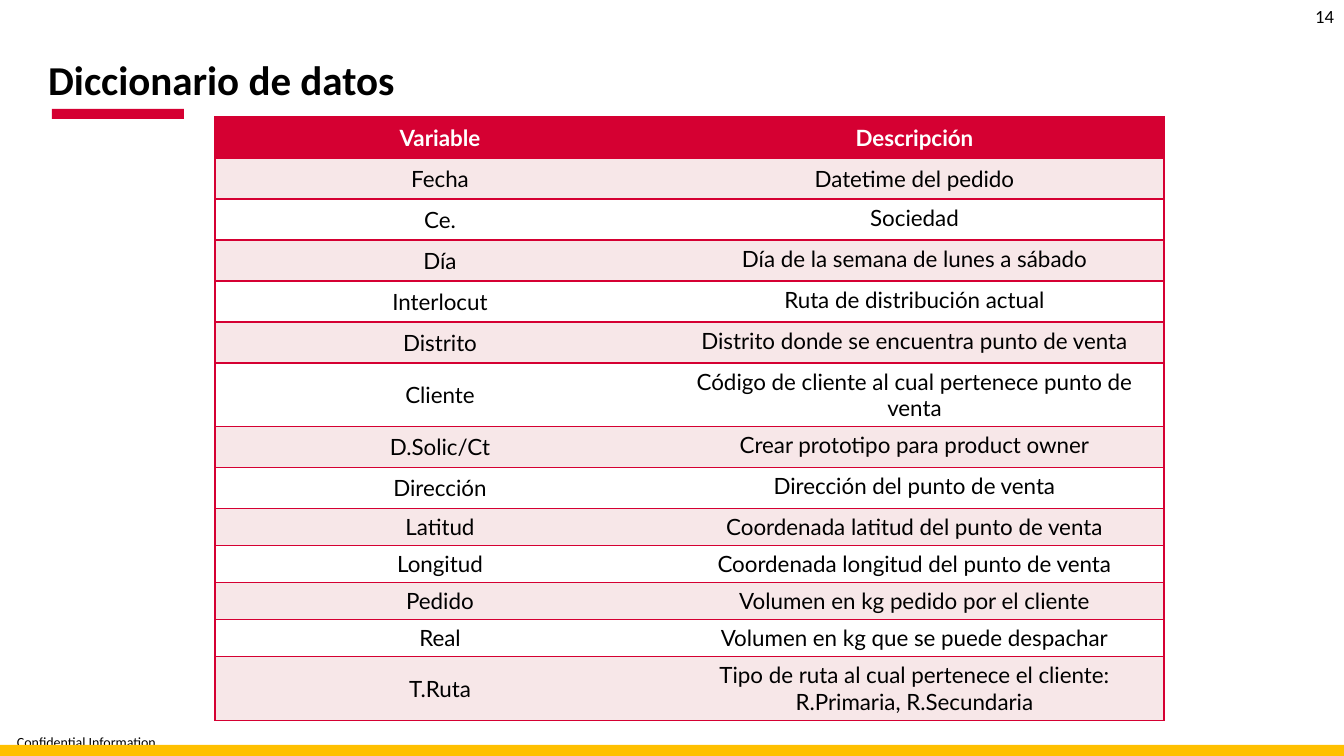
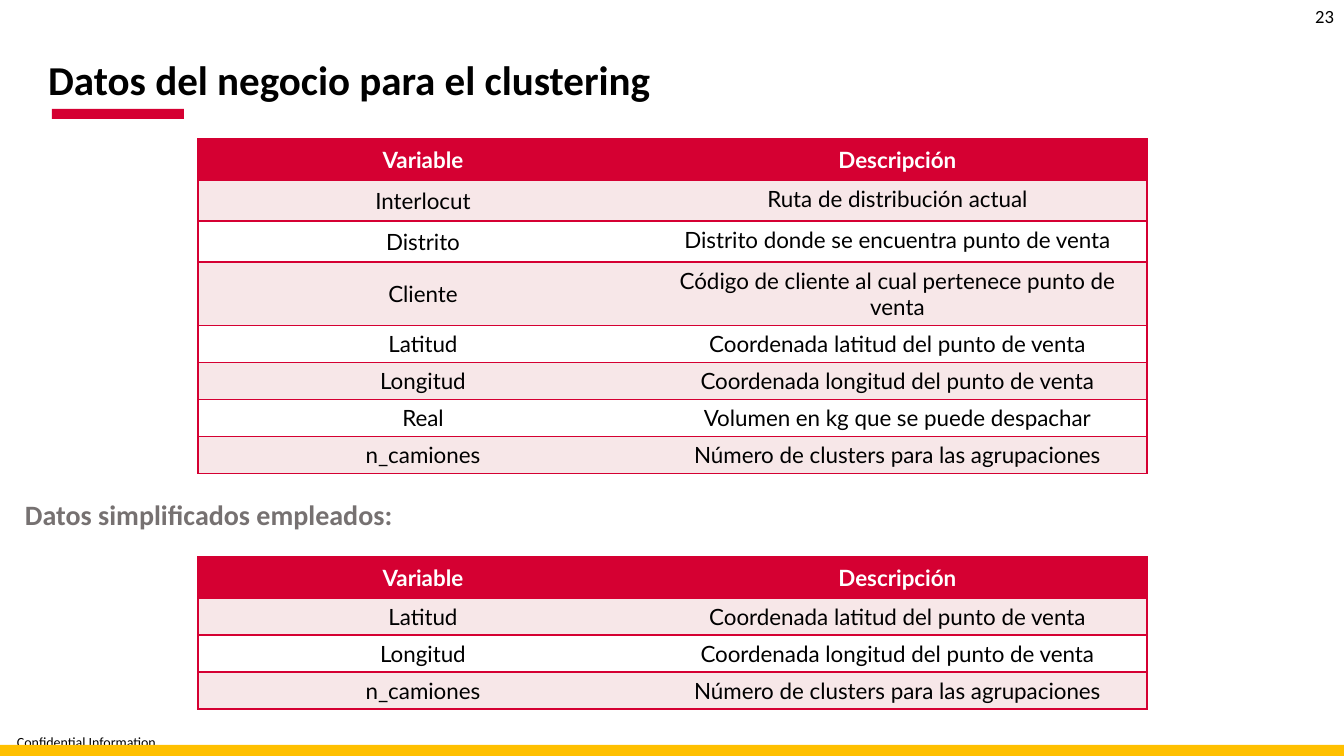
import pptx
import pptx.util
import pptx.dml.color
import pptx.enum.shapes
import pptx.enum.text
import lxml.etree

ALIGN = pptx.enum.text.PP_ALIGN
ANCHOR = pptx.enum.text.MSO_ANCHOR
AUTO_SIZE = pptx.enum.text.MSO_AUTO_SIZE

PX = 914400 / 100.8
SLIDE_W, SLIDE_H = 1344, 756
COLUMNS = (450, 499)
TALL, SHORT, DOUBLE = 41, 37, 63
COLORS = {
    "red": "D50032",
    "pink": "F7E7E8",
    "white": "FFFFFF",
    "black": "000000",
    "gray": "767171",
    "yellow": "FFC000",
}

HEADER = ("Variable", "Descripción")
FOOTER = "Confidential Information"
GLOSSARY = {
    "Fecha": ("Datetime del pedido", TALL),
    "Ce.": ("Sociedad", TALL),
    "Día": ("Día de la semana de lunes a sábado", TALL),
    "Interlocut": ("Ruta de distribución actual", TALL),
    "Distrito": ("Distrito donde se encuentra punto de venta", TALL),
    "Cliente": ("Código de cliente al cual pertenece punto de venta", DOUBLE),
    "D.Solic/Ct": ("Crear prototipo para product owner", TALL),
    "Dirección": ("Dirección del punto de venta", TALL),
    "Latitud": ("Coordenada latitud del punto de venta", SHORT),
    "Longitud": ("Coordenada longitud del punto de venta", SHORT),
    "Pedido": ("Volumen en kg pedido por el cliente", SHORT),
    "Real": ("Volumen en kg que se puede despachar", SHORT),
    "T.Ruta": ("Tipo de ruta al cual pertenece el cliente: R.Primaria, R.Secundaria", DOUBLE),
    "n_camiones": ("Número de clusters para las agrupaciones", SHORT),
}
CENTERED_DESCRIPTIONS = {"Fecha"}

SLIDES = [
    {
        "title": "Diccionario de datos",
        "number": "14",
        "tables": [(215, 117, [name for name in GLOSSARY if name != "n_camiones"])],
        "labels": [],
    },
    {
        "title": "Datos del negocio para el clustering",
        "number": "23",
        "tables": [
            (198, 139, ["Interlocut", "Distrito", "Cliente", "Latitud", "Longitud", "Real", "n_camiones"]),
            (198, 557, ["Latitud", "Longitud", "n_camiones"]),
        ],
        "labels": [("Datos simplificados empleados:", (15, 493, 457, 44))],
    },
]


def px(*values):
    return [pptx.util.Emu(round(v * PX)) for v in values]


def rgb(name):
    return pptx.dml.color.RGBColor.from_string(COLORS[name])


def write(tf, text, size=16, font="Calibri", color="black", bold=False, align=ALIGN.LEFT):
    p = tf.paragraphs[0]
    p.alignment = align
    r = p.add_run()
    r.text = text
    r.font.size = pptx.util.Pt(size)
    r.font.name = font
    r.font.bold = bold
    r.font.color.rgb = rgb(color)


def add_text(s, text, box, anchor=ANCHOR.TOP, inset=None, **fmt):
    tf = s.shapes.add_textbox(*px(*box)).text_frame
    tf.word_wrap = True
    tf.vertical_anchor = anchor
    if inset is not None:
        tf.margin_left = tf.margin_right = tf.margin_top = tf.margin_bottom = inset
    write(tf, text, **fmt)


def add_band(s, box, color):
    sp = s.shapes.add_shape(pptx.enum.shapes.MSO_SHAPE.RECTANGLE, *px(*box))
    sp.shadow.inherit = False
    sp.fill.solid()
    sp.fill.fore_color.rgb = rgb(color)
    sp.line.fill.background()


def set_borders(cell, sides):
    tc_pr = cell._tc.get_or_add_tcPr()
    ns = "{http://schemas.openxmlformats.org/drawingml/2006/main}"
    for i, side in enumerate("LRTB"):
        ln = lxml.etree.Element(f"{ns}ln{side}", w="12700")
        if side in sides:
            fill = lxml.etree.SubElement(ln, f"{ns}solidFill")
            lxml.etree.SubElement(fill, f"{ns}srgbClr", val=COLORS["red"])
        else:
            lxml.etree.SubElement(ln, f"{ns}noFill")
        tc_pr.insert(i, ln)


def add_glossary(s, left, top, names):
    rows = [(*HEADER, TALL)] + [(name, *GLOSSARY[name]) for name in names]
    height = sum(row[2] for row in rows)
    box = px(left, top, sum(COLUMNS), height)
    table = s.shapes.add_table(len(rows), len(COLUMNS), *box).table
    table.horz_banding = False
    for column, width in zip(table.columns, px(*COLUMNS)):
        column.width = width
    for i, (name, description, row_height) in enumerate(rows):
        table.rows[i].height = px(row_height)[0]
        head = i == 0
        fill = "red" if head else ("white", "pink")[i % 2]
        for j, text in enumerate((name, description)):
            cell = table.cell(i, j)
            cell.fill.solid()
            cell.fill.fore_color.rgb = rgb(fill)
            middle = head or j == 0 or name in CENTERED_DESCRIPTIONS
            cell.vertical_anchor = ANCHOR.MIDDLE if middle else ANCHOR.TOP
            set_borders(cell, ("LTB", "RTB")[j])
            write(cell.text_frame, text, font="Lato", bold=head,
                  color="white" if head else "black", align=ALIGN.CENTER)


def add_frame(prs, title, number):
    s = prs.slides.add_slide(prs.slide_layouts[5])
    add_text(s, FOOTER, (17, 727, 156, 29), anchor=ANCHOR.MIDDLE, inset=0, size=10)
    add_band(s, (0, 745, SLIDE_W, 12), "yellow")
    add_band(s, (52, 109, 132, 10), "red")
    add_text(s, number, (1286, 0, 58, 40), size=13.3, align=ALIGN.RIGHT)
    sp = s.shapes.title
    sp.left, sp.top, sp.width, sp.height = px(38, 15, 910, 94)
    tf = sp.text_frame
    tf.auto_size = AUTO_SIZE.NONE
    tf.vertical_anchor = ANCHOR.BOTTOM
    write(tf, title, size=29.3, bold=True)
    return s


def main():
    prs = pptx.Presentation()
    prs.slide_width, prs.slide_height = px(SLIDE_W, SLIDE_H)
    for content in SLIDES:
        s = add_frame(prs, content["title"], content["number"])
        for left, top, names in content["tables"]:
            add_glossary(s, left, top, names)
        for text, box in content["labels"]:
            add_text(s, text, box, size=20, color="gray", bold=True)
    prs.save("out.pptx")


if __name__ == "__main__":
    main()
